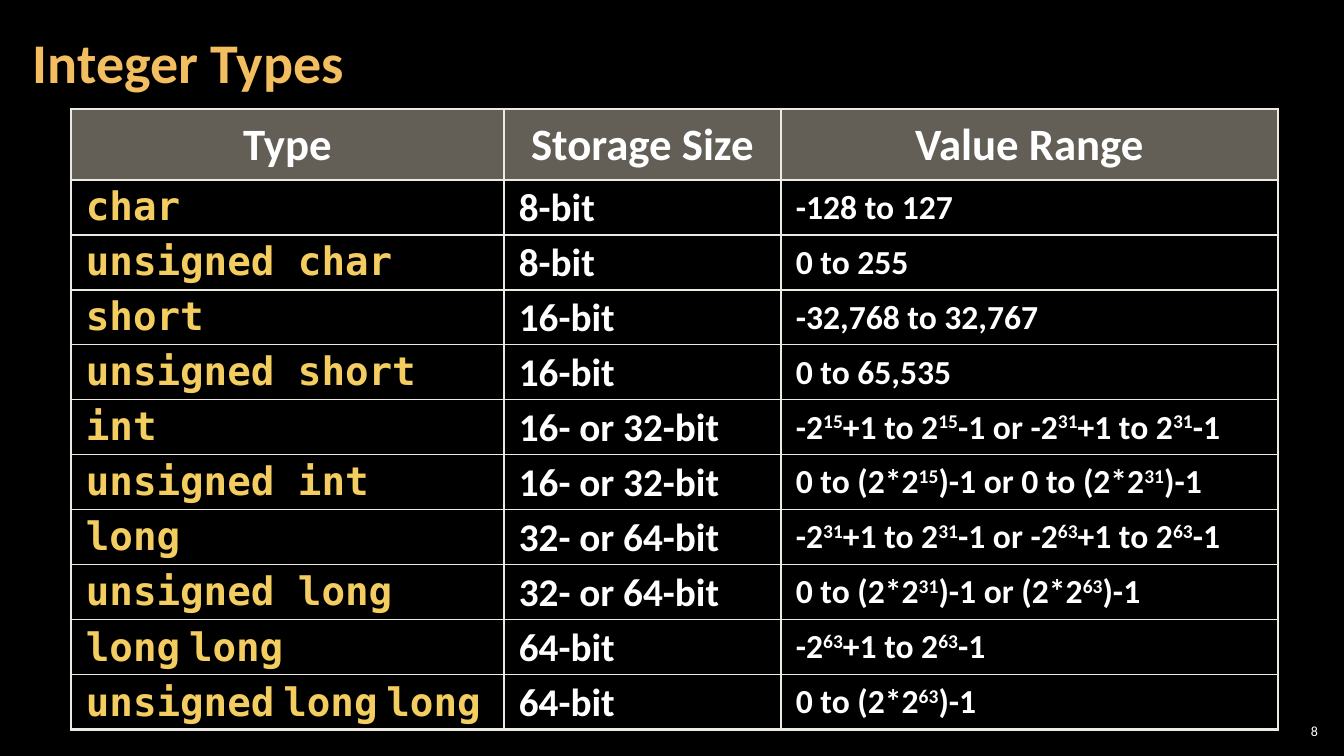
from dataclasses import dataclass

from lxml.etree import SubElement
from pptx import Presentation
from pptx.dml.color import RGBColor
from pptx.enum.text import MSO_ANCHOR, PP_ALIGN
from pptx.oxml import parse_xml
from pptx.oxml.ns import nsdecls, qn
from pptx.slide import Slide
from pptx.table import Table, _Cell
from pptx.text.text import _Paragraph
from pptx.util import Emu, Pt

SLIDE_WIDTH, SLIDE_HEIGHT = 1344, 756
EMU_PER_PX = 12192000 / SLIDE_WIDTH
TEXT_FONT, CODE_FONT = "Calibri", "DejaVu Sans Mono"
WHITE, BLACK, TITLE_GOLD, CODE_GOLD = "FFFFFF", "000000", "F3BE60", "F3CD60"
HEADER_FILL, RULE = "C7BFAC", "ECEAE3"
THIN, THICK = 1, 2.25
TABLE_LEFT, TABLE_TOP = 71, 109
COLUMN_WIDTHS = (433, 277, 497)
HEADER_HEIGHT, ROW_HEIGHT = 71, 55
HEADINGS = ("Type", "Storage Size", "Value Range")


@dataclass(frozen=True)
class Style:
    """The look of a piece of text."""
    size: int
    color: str = WHITE
    font: str = TEXT_FONT
    bold: bool = True
    align: PP_ALIGN = PP_ALIGN.LEFT
    line_spacing: float = 0.95


@dataclass(frozen=True)
class Label:
    """A text box with its place and insets in px."""
    text: str
    left: int
    top: int
    width: int
    height: int
    inset_x: int
    inset_y: int
    style: Style


@dataclass(frozen=True)
class IntegerType:
    """One table row; carets enclose the exponents of the range."""
    name: str
    storage: str
    value_range: str


HEADING = Style(32, align=PP_ALIGN.CENTER)
CODE = Style(28, CODE_GOLD, CODE_FONT)
STORAGE = Style(28)
VALUES = Style(24)

LABELS = (
    Label("8", 1275, 720, 47, 21, 4, 4,
          Style(10, bold=False, align=PP_ALIGN.RIGHT, line_spacing=1.0)),
    Label("Integer Types", 21, 4, 1055, 122, 12, 4,
          Style(40, TITLE_GOLD, line_spacing=0.9)),
)

INTEGER_TYPES = (
    IntegerType("char", "8-bit", "-128 to 127"),
    IntegerType("unsigned char", "8-bit", "0 to 255"),
    IntegerType("short", "16-bit", "-32,768 to 32,767"),
    IntegerType("unsigned short", "16-bit", "0 to 65,535"),
    IntegerType("int", "16- or 32-bit", "-2^15^+1 to 2^15^-1 or -2^31^+1 to 2^31^-1"),
    IntegerType("unsigned int", "16- or 32-bit", "0 to (2*2^15^)-1 or 0 to (2*2^31^)-1"),
    IntegerType("long", "32- or 64-bit", "-2^31^+1 to 2^31^-1 or -2^63^+1 to 2^63^-1"),
    IntegerType("unsigned long", "32- or 64-bit", "0 to (2*2^31^)-1 or (2*2^63^)-1"),
    IntegerType("long long", "64-bit", "-2^63^+1 to 2^63^-1"),
    IntegerType("unsigned long long", "64-bit", "0 to (2*2^63^)-1"),
)


def px(length: int) -> Emu:
    """Turn px into EMU."""
    return Emu(round(length * EMU_PER_PX))


def rgb(color: str) -> RGBColor:
    """Turn a hex string into a colour."""
    return RGBColor.from_string(color)


def add_span(para: _Paragraph, text: str, style: Style, font: str = "", raised: bool = False) -> None:
    """Append one formatted run."""
    span = para.add_run()
    span.text = text
    span.font.name = font or style.font
    span.font.size = Pt(style.size)
    span.font.bold = style.bold
    span.font.color.rgb = rgb(style.color)
    if raised:
        span.font._element.set("baseline", "30000")


def write(para: _Paragraph, text: str, style: Style) -> None:
    """Write text, raising exponents and narrowing the gaps around long long."""
    para.alignment = style.align
    para.line_spacing = style.line_spacing
    if text.endswith("long long"):
        for index, word in enumerate(text.split()):
            if index:
                add_span(para, " ", style, TEXT_FONT)
            add_span(para, word, style)
        return
    for index, part in enumerate(text.split("^")):
        add_span(para, part, style, raised=index % 2 == 1)


def add_label(page: Slide, label: Label) -> None:
    """Draw one text box."""
    box = page.shapes.add_textbox(px(label.left), px(label.top), px(label.width), px(label.height))
    frame = box.text_frame
    frame.word_wrap = True
    frame.vertical_anchor = MSO_ANCHOR.MIDDLE
    frame.margin_left = frame.margin_right = px(label.inset_x)
    frame.margin_top = frame.margin_bottom = px(label.inset_y)
    write(frame.paragraphs[0], label.text, label.style)


def set_borders(cell: _Cell, widths: dict[str, float]) -> None:
    """Draw the sides of a cell, given widths in points."""
    properties = cell._tc.get_or_add_tcPr()
    for index, (side, width) in enumerate(widths.items()):
        properties.insert(index, parse_xml(
            f'<a:ln{side} {nsdecls("a")} w="{Pt(width)}"><a:solidFill>'
            f'<a:srgbClr val="{RULE}"/></a:solidFill></a:ln{side}>'))


def fill_cell(table: Table, row: int, column: int, text: str, style: Style) -> None:
    """Write, fill and border one cell."""
    cell = table.cell(row, column)
    cell.vertical_anchor = MSO_ANCHOR.MIDDLE
    cell.margin_left = cell.margin_right = px(15)
    cell.margin_top = cell.margin_bottom = px(5)
    write(cell.text_frame.paragraphs[0], text, style)
    if row == 0:
        cell.fill.solid()
        cell.fill.fore_color.rgb = rgb(HEADER_FILL)
        tint = cell._tc.tcPr.find(".//" + qn("a:srgbClr"))
        SubElement(tint, qn("a:alpha"), val="50000")
    else:
        cell.fill.background()
    set_borders(cell, {
        "L": THICK if column == 0 else THIN,
        "R": THICK if column == len(HEADINGS) - 1 else THIN,
        "T": THICK if row <= 1 else THIN,
        "B": THICK if row in (0, len(INTEGER_TYPES)) else THIN,
    })


def add_type_table(page: Slide) -> None:
    """Draw the table of integer types."""
    heights = (HEADER_HEIGHT,) + (ROW_HEIGHT,) * len(INTEGER_TYPES)
    table = page.shapes.add_table(
        len(heights), len(HEADINGS), px(TABLE_LEFT), px(TABLE_TOP),
        px(sum(COLUMN_WIDTHS)), px(sum(heights))).table
    table.first_row = table.horz_banding = False
    for column, width in zip(table.columns, COLUMN_WIDTHS):
        column.width = px(width)
    for row, height in zip(table.rows, heights):
        row.height = px(height)
    for column, heading in enumerate(HEADINGS):
        fill_cell(table, 0, column, heading, HEADING)
    for row, kind in enumerate(INTEGER_TYPES, start=1):
        fill_cell(table, row, 0, kind.name, CODE)
        fill_cell(table, row, 1, kind.storage, STORAGE)
        fill_cell(table, row, 2, kind.value_range, VALUES)


def main() -> None:
    """Build and save the deck."""
    deck = Presentation()
    deck.slide_width, deck.slide_height = px(SLIDE_WIDTH), px(SLIDE_HEIGHT)
    page = deck.slides.add_slide(deck.slide_layouts[6])
    page.background.fill.solid()
    page.background.fill.fore_color.rgb = rgb(BLACK)
    for label in LABELS:
        add_label(page, label)
    add_type_table(page)
    deck.save("out.pptx")


if __name__ == "__main__":
    main()
